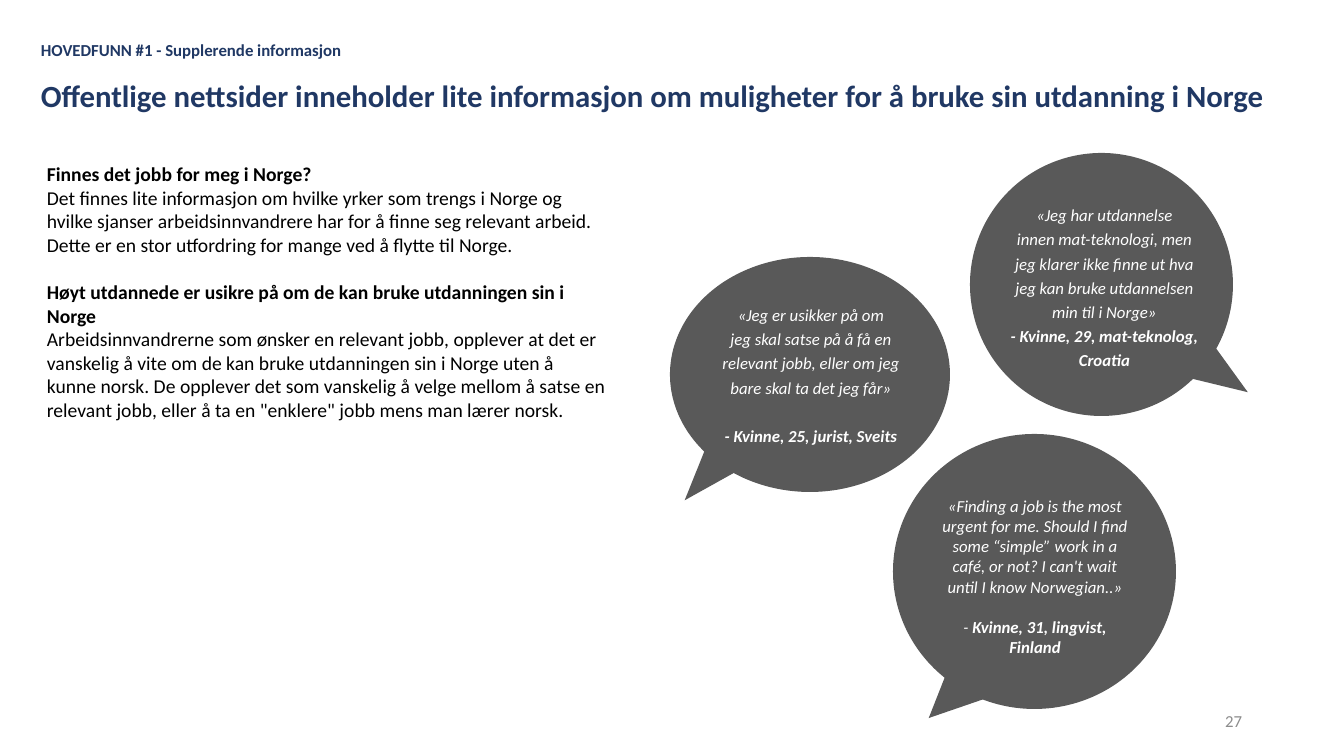
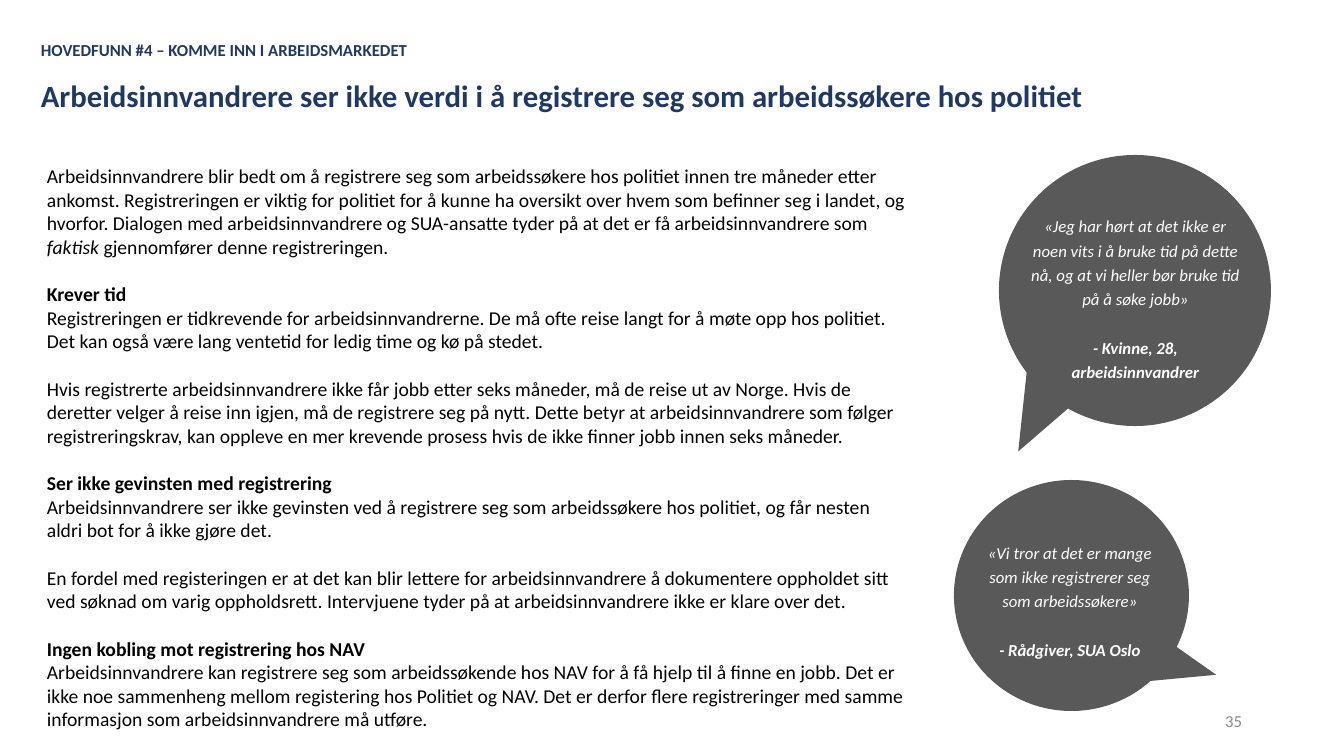
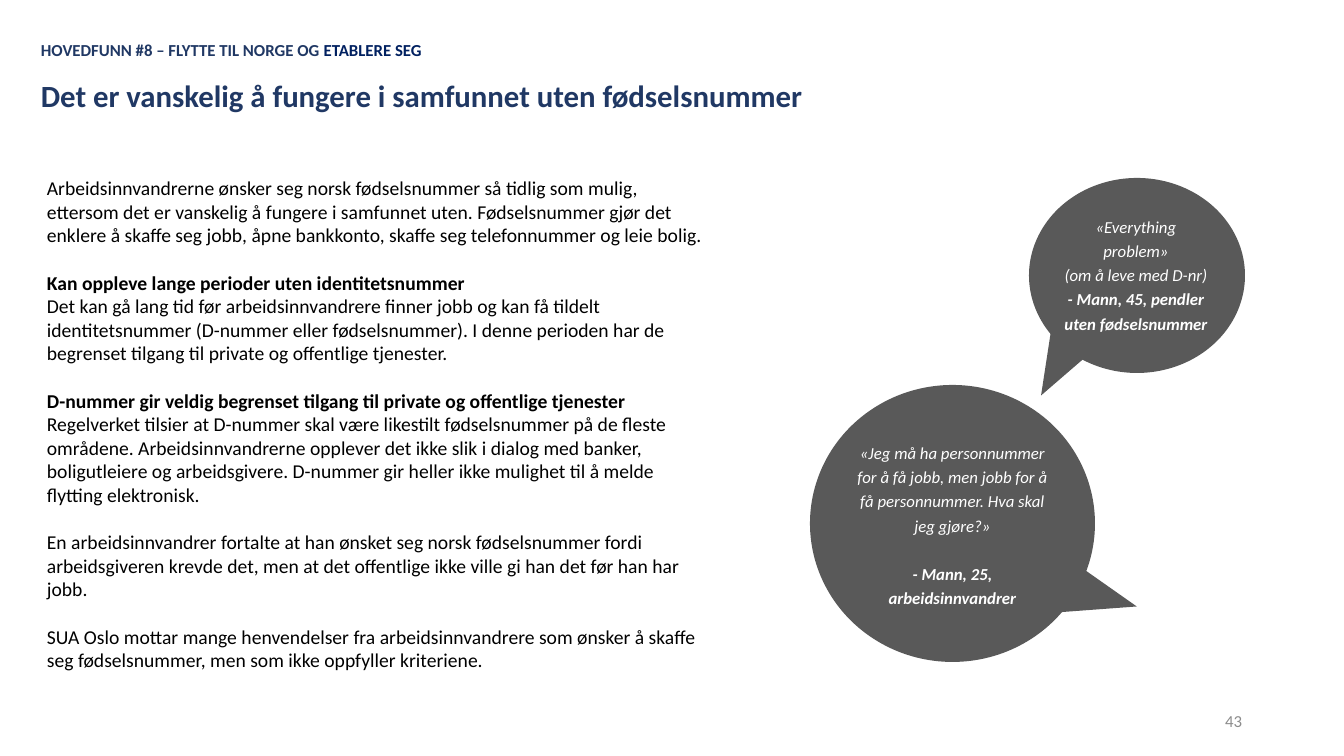
from pptx import Presentation
from pptx.dml.color import RGBColor
from pptx.enum.shapes import MSO_SHAPE
from pptx.enum.text import MSO_ANCHOR, PP_ALIGN
from pptx.util import Pt

PX = 914400 / 100.8  # EMU in one px
FONT = "Calibri"
NAVY, DEEP_NAVY, BLACK, WHITE = "203864", "002060", "000000", "FFFFFF"
BUBBLE_GREY, NUMBER_GREY = "595959", "8C8C8C"
LINE = 1.22  # line height of the font, in ems

SLIDE_SIZE = (1344, 756)
TITLE_BOX = (31, 33, 1313, 86)
NUMBER_BOX = (950, 701, 302, 40)


def px(*lengths):
    return [round(length * PX) for length in lengths]


def rgb(color):
    return RGBColor.from_string(color)


def add_frame(slide, box, anchor=MSO_ANCHOR.TOP):
    frame = slide.shapes.add_textbox(*px(*box)).text_frame
    frame.word_wrap = True
    frame.vertical_anchor = anchor
    return frame


def write(frame, content, size, color, bold=False, italic=False,
          align=PP_ALIGN.LEFT, before=0, spacing=1.0):
    """Add a paragraph; content is a string or a list of strings and (string, style) pairs."""
    first = frame.paragraphs[0]
    paragraph = first if not first.runs else frame.add_paragraph()
    paragraph.alignment = align
    paragraph.space_before = Pt(before)
    paragraph.line_spacing = spacing
    font = paragraph.font
    font.name, font.size, font.bold, font.italic = FONT, Pt(size), bold, italic
    font.color.rgb = rgb(color)
    for piece in [content] if isinstance(content, str) else content:
        words, style = (piece, {}) if isinstance(piece, str) else piece
        run = paragraph.add_run()
        run.text = words
        for key, value in style.items():
            if key == "color":
                run.font.color.rgb = rgb(value)
            else:
                setattr(run.font, key, value)


def add_heading(slide, kicker, title):
    frame = add_frame(slide, TITLE_BOX, MSO_ANCHOR.BOTTOM)
    write(frame, kicker, 12, NAVY, bold=True)
    write(frame, title, 22, NAVY, bold=True, before=12)


def add_number(slide, number):
    frame = add_frame(slide, NUMBER_BOX, MSO_ANCHOR.MIDDLE)
    write(frame, str(number), 12, NUMBER_GREY, align=PP_ALIGN.RIGHT)


def add_body(slide, box, sections):
    """Each section is (subheading or None, content); one line of air between sections."""
    frame = add_frame(slide, box)
    for index, (subheading, content) in enumerate(sections):
        gap = 14 * LINE if index else 0
        if subheading:
            write(frame, subheading, 14, BLACK, bold=True, before=round(gap, 2))
            gap = 0
        write(frame, content, 14, BLACK, before=round(gap, 2))


def add_grey_shape(slide, kind, box):
    part = slide.shapes.add_shape(kind, *px(*box))
    part.shadow.inherit = False
    part.fill.solid()
    part.fill.fore_color.rgb = rgb(BUBBLE_GREY)
    part.line.fill.background()
    return part


def add_bubble(slide, box, tail, turn, words, quote, speaker, gap=True, spacing=1.2):
    """Speech bubble; tail and words are boxes measured from the bubble's top left."""
    left, top = box[:2]

    def inside(part):
        return left + part[0], top + part[1], part[2], part[3]

    add_grey_shape(slide, MSO_SHAPE.RIGHT_TRIANGLE, inside(tail)).rotation = turn
    add_grey_shape(slide, MSO_SHAPE.OVAL, box)
    frame = add_frame(slide, inside(words), MSO_ANCHOR.MIDDLE)
    look = dict(size=12, color=WHITE, italic=True, align=PP_ALIGN.CENTER, spacing=spacing)
    for line in quote:
        write(frame, line, **look)
    air = round(12 * LINE * spacing, 2) if gap else 0
    write(frame, speaker, bold=True, before=air, **look)


def add_finding(deck, number, kicker, title, body_box, sections, bubbles):
    slide = deck.slides.add_slide(deck.slide_layouts[6])
    add_heading(slide, kicker, title)
    add_body(slide, body_box, sections)
    for bubble in bubbles:
        add_bubble(slide, **bubble)
    add_number(slide, number)


FINDINGS = [
    dict(
        number=27,
        kicker="HOVEDFUNN #1 - Supplerende informasjon",
        title="Offentlige nettsider inneholder lite informasjon om muligheter for å bruke "
              "sin utdanning i Norge",
        body_box=(37, 157, 581, 383),
        sections=[
            ("Finnes det jobb for meg i Norge?",
             "Det finnes lite informasjon om hvilke yrker som trengs i Norge og hvilke sjanser "
             "arbeidsinnvandrere har for å finne seg relevant arbeid. Dette er en stor "
             "utfordring for mange ved å flytte til Norge."),
            ("Høyt utdannede er usikre på om de kan bruke utdanningen sin i Norge",
             "Arbeidsinnvandrerne som ønsker en relevant jobb, opplever at det er vanskelig å "
             "vite om de kan bruke utdanningen sin i Norge uten å kunne norsk. De opplever det "
             "som vanskelig å velge mellom å satse en relevant jobb, eller å ta en \"enklere\" "
             "jobb mens man lærer norsk."),
        ],
        bubbles=[
            dict(box=(970, 153, 263, 263), tail=(118, 141, 128, 150), turn=144.1,
                 words=(30, 42, 209, 181), gap=False,
                 quote=["«Jeg har utdannelse",
                        "innen mat-teknologi, men jeg klarer ikke finne ut hva jeg kan bruke "
                        "utdannelsen min til i Norge»"],
                 speaker="- Kvinne, 29, mat-teknolog, Croatia"),
            dict(box=(670, 257, 280, 235), tail=(-13, 59, 136, 168), turn=240.9,
                 words=(38, 38, 206, 157),
                 quote=["«Jeg er usikker på om",
                        "jeg skal satse på å få en relevant jobb, eller om jeg bare skal ta "
                        "det jeg får»"],
                 speaker="- Kvinne, 25, jurist, Sveits"),
            dict(box=(893, 434, 283, 275), tail=(65, 177, 128, 150), turn=111.5,
                 words=(33, 56, 218, 173), spacing=1.0,
                 quote=["«Finding a job is the most urgent for me. Should I find some “simple” "
                        "work in a café, or not? I can't wait until I know Norwegian..»"],
                 speaker=[("- ", {"bold": False}), "Kvinne, 31, lingvist, Finland"]),
        ],
    ),
    dict(
        number=35,
        kicker="HOVEDFUNN #4 – KOMME INN I ARBEIDSMARKEDET",
        title="Arbeidsinnvandrere ser ikke verdi i å registrere seg som arbeidssøkere hos "
              "politiet",
        body_box=(37, 159, 881, 597),
        sections=[
            (None,
             ["Arbeidsinnvandrere blir bedt om å registrere seg som arbeidssøkere hos politiet "
              "innen tre måneder etter ankomst. Registreringen er viktig for politiet for å "
              "kunne ha oversikt over hvem som befinner seg i landet, og hvorfor. Dialogen med "
              "arbeidsinnvandrere og SUA-ansatte tyder på at det er få arbeidsinnvandrere som ",
              ("faktisk", {"italic": True}),
              " gjennomfører denne registreringen."]),
            ("Krever tid",
             "Registreringen er tidkrevende for arbeidsinnvandrerne. De må ofte reise langt for "
             "å møte opp hos politiet. Det kan også være lang ventetid for ledig time og kø på "
             "stedet."),
            (None,
             "Hvis registrerte arbeidsinnvandrere ikke får jobb etter seks måneder, må de reise "
             "ut av Norge. Hvis de deretter velger å reise inn igjen, må de registrere seg på "
             "nytt. Dette betyr at arbeidsinnvandrere som følger registreringskrav, kan oppleve "
             "en mer krevende prosess hvis de ikke finner jobb innen seks måneder."),
            ("Ser ikke gevinsten med registrering",
             "Arbeidsinnvandrere ser ikke gevinsten ved å registrere seg som arbeidssøkere hos "
             "politiet, og får nesten aldri bot for å ikke gjøre det."),
            (None,
             "En fordel med registeringen er at det kan blir lettere for arbeidsinnvandrere å "
             "dokumentere oppholdet sitt ved søknad om varig oppholdsrett. Intervjuene tyder på "
             "at arbeidsinnvandrere ikke er klare over det."),
            ("Ingen kobling mot registrering hos NAV",
             "Arbeidsinnvandrere kan registrere seg som arbeidssøkende hos NAV for å få hjelp "
             "til å finne en jobb. Det er ikke noe sammenheng mellom registering hos Politiet "
             "og NAV. Det er derfor flere registreringer med samme informasjon som "
             "arbeidsinnvandrere må utføre."),
        ],
        bubbles=[
            dict(box=(999, 155, 272, 271), tail=(-56, 72, 178, 190), turn=229.2,
                 words=(21, 51, 231, 182),
                 quote=["«Jeg har hørt at det ikke er noen vits i å bruke tid på dette nå, og "
                        "at vi heller bør bruke tid på å søke jobb»"],
                 speaker="- Kvinne, 28, arbeidsinnvandrer"),
            dict(box=(954, 480, 235, 231), tail=(100, 129, 128, 150), turn=125.1,
                 words=(10, 53, 212, 132),
                 quote=["«Vi tror at det er mange som ikke registrerer seg som arbeidssøkere»"],
                 speaker="- Rådgiver, SUA Oslo"),
        ],
    ),
    dict(
        number=43,
        kicker=["HOVEDFUNN #8 – FLYTTE TIL NORGE OG ", ("ETABLERE SEG", {"color": DEEP_NAVY})],
        title="Det er vanskelig å fungere i samfunnet uten fødselsnummer",
        body_box=(37, 171, 682, 510),
        sections=[
            (None,
             "Arbeidsinnvandrerne ønsker seg norsk fødselsnummer så tidlig som mulig, ettersom "
             "det er vanskelig å fungere i samfunnet uten. Fødselsnummer gjør det enklere å "
             "skaffe seg jobb, åpne bankkonto, skaffe seg telefonnummer og leie bolig."),
            ("Kan oppleve lange perioder uten identitetsnummer",
             "Det kan gå lang tid før arbeidsinnvandrere finner jobb og kan få tildelt "
             "identitetsnummer (D-nummer eller fødselsnummer). I denne perioden har de "
             "begrenset tilgang til private og offentlige tjenester."),
            ("D-nummer gir veldig begrenset tilgang til private og offentlige tjenester",
             "Regelverket tilsier at D-nummer skal være likestilt fødselsnummer på de fleste "
             "områdene. Arbeidsinnvandrerne opplever det ikke slik i dialog med banker, "
             "boligutleiere og arbeidsgivere. D-nummer gir heller ikke mulighet til å melde "
             "flytting elektronisk."),
            (None,
             "En arbeidsinnvandrer fortalte at han ønsket seg norsk fødselsnummer fordi "
             "arbeidsgiveren krevde det, men at det offentlige ikke ville gi han det før han "
             "har jobb."),
            (None,
             "SUA Oslo mottar mange henvendelser fra arbeidsinnvandrere som ønsker å skaffe seg "
             "fødselsnummer, men som ikke oppfyller kriteriene."),
        ],
        bubbles=[
            dict(box=(1029, 178, 216, 195), tail=(-37, 45, 128, 150), turn=229.2,
                 words=(24, 29, 166, 132), gap=False,
                 quote=["«Everything problem»", "(om å leve med D-nr)"],
                 speaker="- Mann, 45, pendler uten fødselsnummer"),
            dict(box=(810, 385, 285, 277), tail=(139, 141, 146, 178), turn=125.1,
                 words=(29, 48, 227, 181),
                 quote=["«Jeg må ha personnummer for å få jobb, men jobb for å få "
                        "personnummer. Hva skal jeg gjøre?»"],
                 speaker="- Mann, 25, arbeidsinnvandrer"),
        ],
    ),
]


def main():
    deck = Presentation()
    deck.slide_width, deck.slide_height = px(*SLIDE_SIZE)
    for finding in FINDINGS:
        add_finding(deck, **finding)
    deck.save("out.pptx")


if __name__ == "__main__":
    main()
